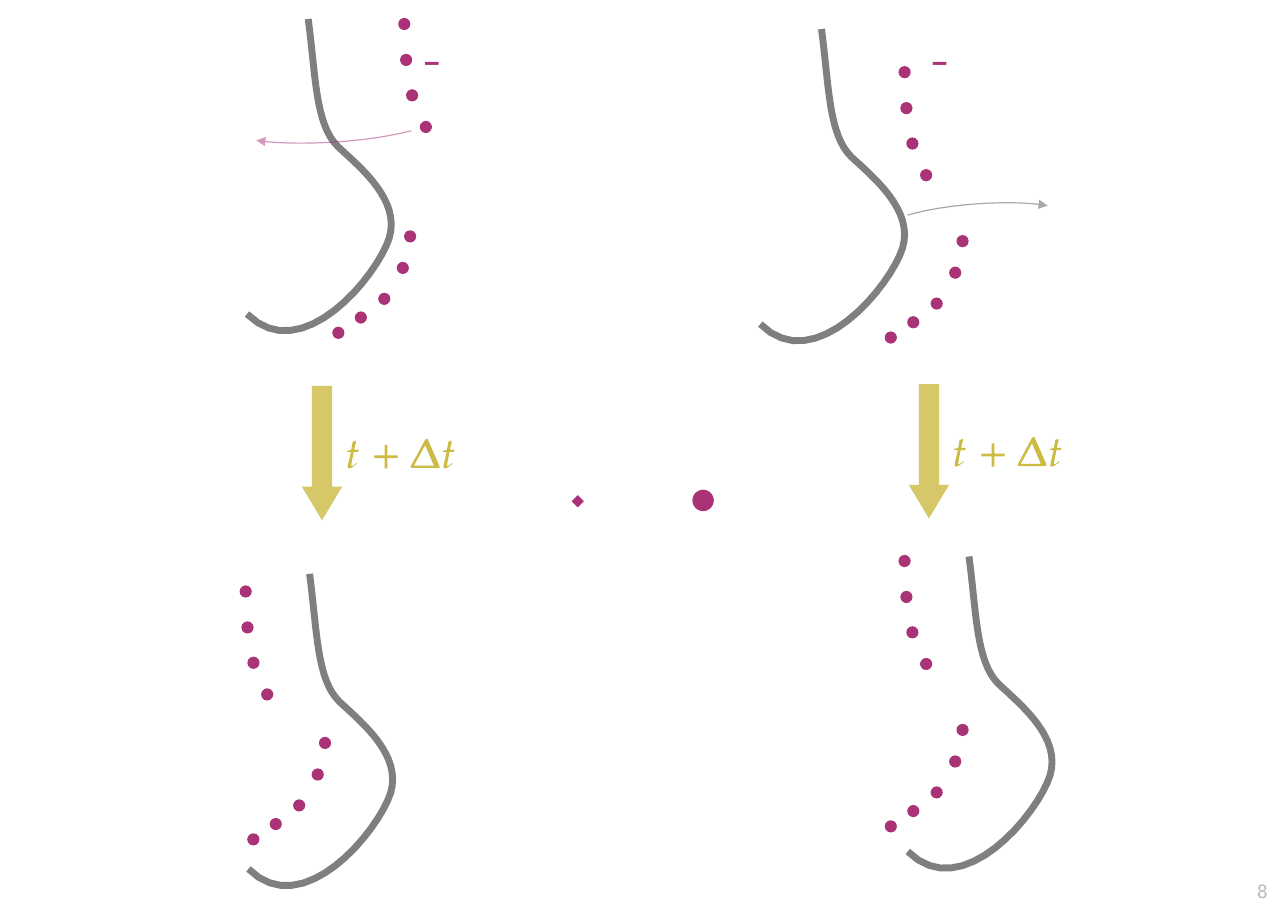
from lxml.etree import SubElement
from pptx import Presentation
from pptx.dml.color import RGBColor
from pptx.enum.shapes import MSO_SHAPE
from pptx.enum.text import MSO_ANCHOR, PP_ALIGN
from pptx.oxml.ns import qn
from pptx.util import Pt

PURPLE = "AA3377"
GREY = "555555"
GOLD = "CCBB44"
PALE = "BBBBBB"

DOT_SIZE = 8
STEPS = 16
BOUNDARY = [(0, 0), (5, 37), (4.5, 69), (19.5, 83.5), (35.2, 98),
            (60.2, 118.6), (53, 143), (45.4, 167.5), (-4.2, 228.5), (-40, 192.8)]
UPPER_DOTS = [(0, 0), (1.2, 23.5), (5.1, 46.6), (14.1, 67.3)]
LOWER_DOTS = [(0, 0), (-4.8, 20.6), (-16.9, 40.8), (-32.2, 53), (-46.9, 63)]

LETTER_T = [[(6.5, 15.1), (6.1, 14.6), (5, 15.7), (3.2, 16.7), (2.8, 15.8),
             (4.2, 8.6), (4.4, 7.3), (7.4, 7.3), (7.8, 5.9), (4.7, 5.9),
             (5.9, 0.8), (5.6, 0), (3.7, 0.8), (2.8, 5.9), (0.1, 6.7),
             (0, 7.3), (2.6, 7.3), (0.8, 15.1), (0.5, 17.2), (1.2, 18.2),
             (3, 17.6), (5.6, 15.8)]]
PLUS = [[(6.7, 0), (8.5, 0), (8.5, 6.7), (15.2, 6.7), (15.2, 8.5), (8.5, 8.5),
         (8.5, 15.2), (6.7, 15.2), (6.7, 8.5), (0, 8.5), (0, 6.7), (6.7, 6.7)]]
DELTA = [[(9.4, 0.6), (0, 18), (0, 19.2), (18.4, 19.2), (18.7, 18.8), (18.7, 18), (10.8, 0)],
         [(15.1, 17.7), (2.2, 17.7), (2.2, 17.3), (9.3, 4.3)]]
FORMULA = [(LETTER_T, 29.5, 35.8), (PLUS, 47.5, 38.7), (DELTA, 71.3, 34.4), (LETTER_T, 92.1, 35.8)]

STATES = [
    ((202.4, 375), (160.6, 386.5), (212.5, 485.5)),
    ((633.4, 363.6), (591.3, 366.6), (629.2, 477)),
    ((537, 19), (591.3, 47.2), (629.2, 157.6)),
    ((201.5, 12.4), (264.3, 15.7), (268.1, 154.5)),
]


def color(value):
    return RGBColor.from_string(value)


def set_opacity(shape, percent):
    for element in shape._element.iter(qn("a:srgbClr")):
        SubElement(element, qn("a:alpha")).set("val", str(percent * 1000))


def set_line(shape, line_color, width, opacity):
    shape.shadow.inherit = False
    shape.fill.background()
    shape.line.color.rgb = color(line_color)
    shape.line.width = Pt(width)
    set_opacity(shape, opacity)


def set_fill(shape, fill):
    shape.shadow.inherit = False
    shape.fill.solid()
    shape.fill.fore_color.rgb = color(fill)
    shape.line.fill.background()


def add_filled(slide, kind, left, top, width, height, fill=PURPLE):
    shape = slide.shapes.add_shape(kind, Pt(left), Pt(top), Pt(width), Pt(height))
    set_fill(shape, fill)
    return shape


def add_outline(slide, contours, left, top, close):
    placed = [[(Pt(left + x), Pt(top + y)) for x, y in contour] for contour in contours]
    builder = slide.shapes.build_freeform(*placed[0][0])
    for index, contour in enumerate(placed):
        if index:
            builder.move_to(*contour[0])
        builder.add_line_segments(contour[1:], close=close)
    return builder.convert_to_shape()


def add_text(slide, text, left, top, width, height, *, size, text_color,
             font="Cambria", bold=False, align=PP_ALIGN.LEFT):
    box = slide.shapes.add_textbox(Pt(left), Pt(top), Pt(width), Pt(height))
    frame = box.text_frame
    frame.word_wrap = False
    frame.vertical_anchor = MSO_ANCHOR.TOP
    paragraph = frame.paragraphs[0]
    paragraph.alignment = align
    run = paragraph.add_run()
    run.text = text
    run.font.name = font
    run.font.size = Pt(size)
    run.font.bold = bold
    run.font.color.rgb = color(text_color)


def bezier_point(controls, t):
    weights = ((1 - t) ** 3, 3 * t * (1 - t) ** 2, 3 * t ** 2 * (1 - t), t ** 3)
    return tuple(sum(weight * point[axis] for weight, point in zip(weights, controls))
                 for axis in (0, 1))


def add_boundary(slide, left, top):
    points = [bezier_point(BOUNDARY[first:first + 4], step / STEPS)
              for first in range(0, len(BOUNDARY) - 1, 3)
              for step in range(1, STEPS + 1)]
    set_line(add_outline(slide, [BOUNDARY[:1] + points], left, top, False), GREY, 4.5, 75)


def add_dots(slide, center, offsets):
    for x, y in offsets:
        add_filled(slide, MSO_SHAPE.OVAL, center[0] + x - DOT_SIZE / 2,
                   center[1] + y - DOT_SIZE / 2, DOT_SIZE, DOT_SIZE)


def add_time_step(slide, left, top):
    arrow = add_filled(slide, MSO_SHAPE.DOWN_ARROW, left, top, 26.4, 87.8, GOLD)
    arrow.adjustments[0] = 0.5
    arrow.adjustments[1] = 0.833
    set_opacity(arrow, 80)
    for symbol, x, y in FORMULA:
        set_fill(add_outline(slide, symbol, left + x, top + y, True), GOLD)


def add_motion_arrow(slide, left, top, width, rotation, angles, line_color):
    arc = slide.shapes.add_shape(MSO_SHAPE.ARC, Pt(left), Pt(top), Pt(width), Pt(26.6))
    arc.rotation = rotation
    arc.adjustments[0], arc.adjustments[1] = angles
    set_line(arc, line_color, 0.79, 50)
    SubElement(arc.line._get_or_add_ln(), qn("a:tailEnd")).set("type", "triangle")


def main():
    presentation = Presentation()
    presentation.slide_width = Pt(841.89)
    presentation.slide_height = Pt(595.28)
    slide = presentation.slides.add_slide(presentation.slide_layouts[6])

    add_text(slide, "8", 763.9, 571.7, 72, 20.9, size=12, text_color=PALE,
             font="DejaVu Sans Mono", align=PP_ALIGN.RIGHT)
    for boundary, upper, lower in STATES:
        add_boundary(slide, *boundary)
        add_dots(slide, upper, UPPER_DOTS)
        add_dots(slide, lower, LOWER_DOTS)
    for left, top in ((197.3, 252.2), (594, 251)):
        add_time_step(slide, left, top)

    add_motion_arrow(slide, 149.8, 66.2, 138.4, 356.1, (6.42, 102.29), PURPLE)
    add_motion_arrow(slide, 576, 133.2, 124.6, 175.7, (7.09, 101.77), GREY)
    for left in (601.9, 270):
        add_text(slide, "–", left, 23, 24.5, 36, size=21, text_color=PURPLE, bold=True)

    add_filled(slide, MSO_SHAPE.DIAMOND, 373.7, 323.6, DOT_SIZE, DOT_SIZE)
    add_filled(slide, MSO_SHAPE.OVAL, 452.6, 320, 14, 14)
    presentation.save("out.pptx")


if __name__ == "__main__":
    main()
